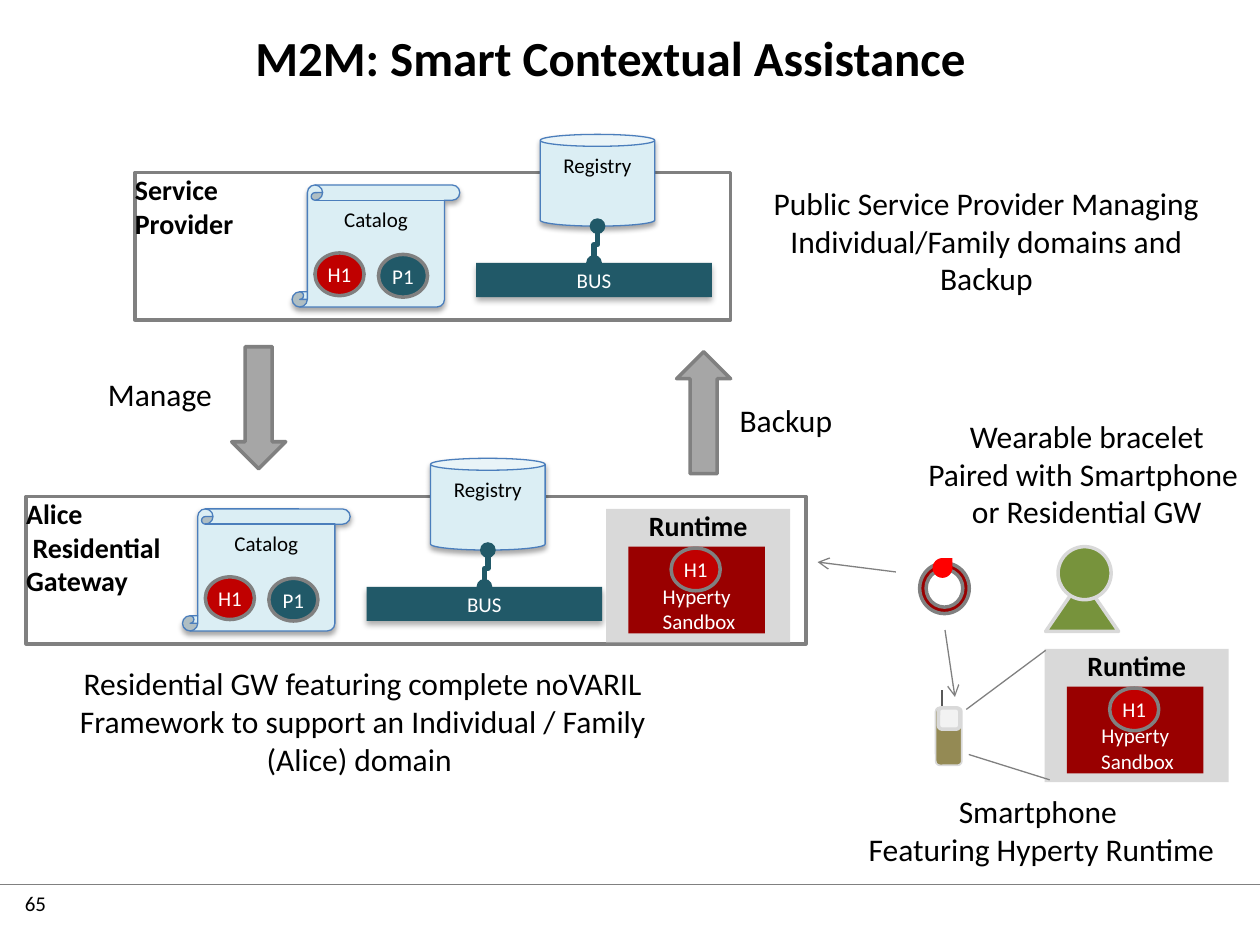
from lxml import etree
from pptx import Presentation
from pptx import util as u
from pptx.dml.color import RGBColor
from pptx.enum import shapes, text
from pptx.oxml.ns import qn

FONT = "Calibri"
BLACK, WHITE, GREY, PALE_GREY = "000000", "FFFFFF", "808080", "D9D9D9"
TEAL, PALE_BLUE, BLUE = "215968", "DBEEF4", "4B7EBC"
RED, DARK_RED, GREEN, DARK_GREY = "C00000", "990000", "77933C", "595959"
KIND = shapes.MSO_SHAPE
LEFT, CENTER, RIGHT = text.PP_ALIGN.LEFT, text.PP_ALIGN.CENTER, text.PP_ALIGN.RIGHT
TOP, MIDDLE, BOTTOM = (text.MSO_ANCHOR.TOP, text.MSO_ANCHOR.MIDDLE,
                       text.MSO_ANCHOR.BOTTOM)


def colour(value):
    """Turn a hex string into a colour."""
    return RGBColor.from_string(value)


def write(shape, paragraphs, size, ink=BLACK, bold=False, align=CENTER,
          anchor=TOP, wrap=True, inset=None):
    """Write paragraphs into a shape; a newline becomes a line break."""
    frame = shape.text_frame
    frame.word_wrap = wrap
    frame.vertical_anchor = anchor
    if inset is not None:
        frame.margin_left = frame.margin_right = u.Cm(inset)
        frame.margin_top = frame.margin_bottom = u.Cm(inset)
    for index, content in enumerate(paragraphs):
        paragraph = frame.add_paragraph() if index else frame.paragraphs[0]
        paragraph.alignment = align
        for number, part in enumerate(content.split("\n")):
            if number:
                paragraph.add_line_break()
            run = paragraph.add_run()
            run.text = part
            run.font.name = FONT
            run.font.size = u.Pt(size)
            run.font.bold = bold
            run.font.color.rgb = colour(ink)


def add_part(slide, kind, box, fill=None, line=None, width=2, rotation=0):
    """Add a preset shape with flat fill and outline."""
    shape = slide.shapes.add_shape(kind, *map(u.Cm, box))
    shape.shadow.inherit = False
    shape.rotation = rotation
    if fill:
        shape.fill.solid()
        shape.fill.fore_color.rgb = colour(fill)
    else:
        shape.fill.background()
    if line:
        shape.line.color.rgb = colour(line)
        shape.line.width = u.Pt(width)
    else:
        shape.line.fill.background()
    return shape


def add_drop_shadow(shape, opacity, blur, distance):
    """Give a shape a soft black shadow below it."""
    effects = shape._element.spPr.find(qn("a:effectLst"))
    shadow = etree.SubElement(effects, qn("a:outerShdw"), blurRad=str(u.Pt(blur)),
                              dist=str(u.Pt(distance)), dir="5400000", rotWithShape="0")
    black = etree.SubElement(shadow, qn("a:srgbClr"), val=BLACK)
    etree.SubElement(black, qn("a:alpha"), val=str(opacity * 1000))


def add_line(slide, start, end, ink=GREY, width=0.75, head=None, tail=None,
             kind=shapes.MSO_CONNECTOR.STRAIGHT):
    """Add a connector with optional line ends."""
    connector = slide.shapes.add_connector(kind, *map(u.Cm, start + end))
    connector.line.color.rgb = colour(ink)
    connector.line.width = u.Pt(width)
    for tag, style in (("a:headEnd", head), ("a:tailEnd", tail)):
        if style:
            etree.SubElement(connector.line._get_or_add_ln(), qn(tag), type=style)
    etree.SubElement(connector._element.spPr, qn("a:effectLst"))
    return connector


def add_label(slide, box, paragraphs, size=18, align=CENTER, wrap=True):
    """Add a plain text box."""
    label = slide.shapes.add_textbox(*map(u.Cm, box))
    write(label, paragraphs, size, align=align, wrap=wrap)
    label.text_frame.auto_size = text.MSO_AUTO_SIZE.SHAPE_TO_FIT_TEXT


def add_badge(slide, left, top, name, fill):
    """Add a small named oval."""
    badge = add_part(slide, KIND.OVAL, (left, top, 0.99, 0.86), fill, GREY)
    write(badge, [name], 12, WHITE, anchor=MIDDLE, wrap=False, inset=0)


def add_domain(slide, box, name, services_left):
    """Add a domain frame with its bus, catalog and registry."""
    frame = add_part(slide, KIND.RECTANGLE, box, line=GREY)
    write(frame, name, 16, bold=True, align=LEFT, wrap=False, inset=0)
    left, top = box[0] + services_left, box[1] + 0.25

    bus = add_part(slide, KIND.RECTANGLE, (left + 3.71, top + 1.57, 4.75, 0.69), TEAL)
    add_drop_shadow(bus, 32, 3.5, 2.2)
    write(bus, ["BUS"], 12, WHITE, anchor=MIDDLE, wrap=False, inset=0)

    catalog = add_part(slide, KIND.VERTICAL_SCROLL, (left, top, 3.38, 2.46),
                       PALE_BLUE, BLUE, 0.75)
    registry = add_part(slide, KIND.CAN, (left + 5, top - 1.02, 2.31, 1.85),
                        PALE_BLUE, BLUE, 0.75)
    registry.adjustments[0] = 0.13
    for store, title in ((catalog, "Catalog"), (registry, "Registry")):
        add_drop_shadow(store, 35, 3.1, 1.8)
        write(store, [title], 12)

    add_badge(slide, left + 0.46, top + 1.37, "H1", RED)
    add_badge(slide, left + 1.74, top + 1.4, "P1", TEAL)

    middle_x, middle_y, length, shift = left + 6.12, top + 1.2, 0.74, 0.07
    link = add_line(slide, (middle_x - length / 2, middle_y - shift / 2),
                    (middle_x + length / 2, middle_y + shift / 2), TEAL, 3,
                    "oval", "oval", shapes.MSO_CONNECTOR.ELBOW)
    link._element.spPr.find(qn("a:xfrm")).set("rot", "5400000")


def add_runtime(slide, left, top):
    """Add a runtime box holding a sandbox and its hyperty."""
    runtime = add_part(slide, KIND.RECTANGLE, (left, top, 3.71, 2.69), PALE_GREY)
    write(runtime, ["Runtime"], 16, bold=True, wrap=False, inset=0)
    sandbox = add_part(slide, KIND.RECTANGLE, (left + 0.45, top + 0.76, 2.75, 1.75),
                       DARK_RED)
    write(sandbox, ["Hyperty\n Sandbox"], 12, WHITE, anchor=BOTTOM, wrap=False, inset=0)
    add_badge(slide, left + 1.31, top + 0.79, "H1", RED)


def add_person(slide, left, top):
    """Add the user figure."""
    add_part(slide, KIND.ISOSCELES_TRIANGLE, (left, top + 0.64, 1.47, 1.07),
             GREEN, PALE_GREY)
    add_part(slide, KIND.OVAL, (left + 0.25, top, 1.07, 1.07), GREEN, PALE_GREY)


def add_bracelet(slide, left, top):
    """Add the wearable bracelet."""
    ring = add_part(slide, KIND.DONUT, (left, top + 0.1, 1, 1.02), DARK_RED, GREY)
    ring.adjustments[0] = 0.13
    add_part(slide, KIND.TEAR, (left + 0.26, top, 0.4, 0.4), "FF0000")


def add_phone(slide, left, top):
    """Add the smartphone handset."""
    add_part(slide, KIND.MATH_MINUS, (left + 0.17, top + 0.05, 0.64, 0.2),
             DARK_GREY, rotation=90)
    add_part(slide, KIND.ROUNDED_RECTANGLE, (left + 0.42, top + 0.91, 0.43, 0.43),
             DARK_GREY)
    add_part(slide, KIND.ROUNDED_RECTANGLE, (left + 0.04, top + 0.58, 1.17, 0.53),
             "948A54", PALE_GREY, 1, 90)
    add_part(slide, KIND.ROUNDED_RECTANGLE, (left + 0.42, top + 0.27, 0.43, 0.43),
             "F2F2F2", PALE_GREY)


def add_title(slide, box, title):
    """Place and format the title placeholder."""
    placeholder = slide.shapes.title
    placeholder.left, placeholder.top, placeholder.width, placeholder.height = map(u.Cm, box)
    write(placeholder, [title], 28, bold=True, anchor=MIDDLE)


def add_footer(slide, top, number):
    """Add the footer rule and slide number."""
    add_line(slide, (0, top), (25.4, top))
    add_label(slide, (0.25, top, 2.03, 1.02), [number], 12, LEFT)


def main():
    """Build and save the slide."""
    presentation = Presentation()
    presentation.slide_width, presentation.slide_height = u.Cm(25.4), u.Cm(19.05)
    slide = presentation.slides.add_slide(presentation.slide_layouts[5])

    add_footer(slide, 17.83, "65")
    add_title(slide, (2.31, 0.48, 19.99, 1.32), "M2M: Smart Contextual Assistance")
    add_person(slide, 21.08, 11.02)
    add_bracelet(slide, 18.54, 11.25)
    add_domain(slide, (0.53, 10.01, 15.72, 2.97), ["Alice \n Residential", "Gateway"], 3.15)
    add_runtime(slide, 12.22, 10.26)
    add_line(slide, (19.05, 12.7), (19.25, 14.05), tail="arrow")
    add_phone(slide, 18.5, 14)
    add_runtime(slide, 21.06, 13.08)
    add_line(slide, (19.48, 14.3), (21.08, 13.11))
    add_line(slide, (19.53, 15.21), (21.16, 15.72))

    add_label(slide, (18.42, 8.28, 6.98, 2.57),
              ["Wearable bracelet", "Paired with Smartphone ", "or Residential GW"],
              wrap=False)
    add_label(slide, (16.59, 15.85, 8.81, 1.8),
              ["Smartphone ", "Featuring Hyperty Runtime"])
    add_label(slide, (0, 13.26, 14.63, 2.57),
              ["Residential GW featuring complete noVARIL Framework to support "
               "an Individual / Family", "(Alice) domain "])

    add_domain(slide, (2.72, 3.48, 12.01, 2.97), ["Service", "Provider"], 3.17)
    for left, top, rotation in ((13.64, 7.09, 0), (4.67, 6.99, 180)):
        add_part(slide, KIND.UP_ARROW, (left, top, 1.09, 2.46), "A6A6A6", GREY,
                 rotation=rotation)
    add_label(slide, (14.66, 7.95, 3.38, 1.02), ["Backup"], align=LEFT)
    add_label(slide, (1.14, 7.44, 3.38, 1.02), ["Manage"], align=RIGHT)
    add_label(slide, (15.16, 3.58, 9.45, 2.57),
              ["Public Service Provider Managing Individual/Family domains and Backup"])
    add_line(slide, (18.06, 11.53), (16.48, 11.33), tail="arrow")

    presentation.save("out.pptx")


if __name__ == "__main__":
    main()
